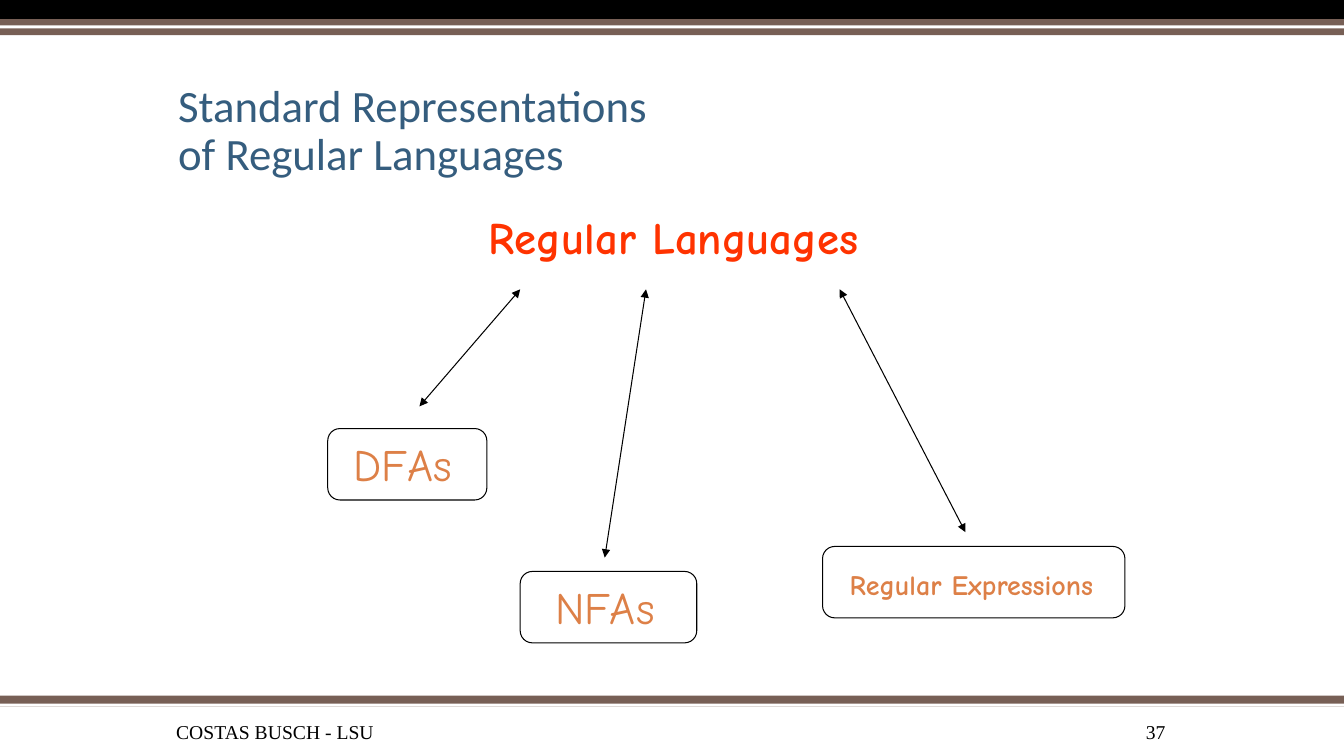
"""Builds the slide on standard representations of regular languages."""
from lxml import etree
from pptx import Presentation
from pptx import util as u
from pptx.dml.color import RGBColor
from pptx.enum import shapes, text
from pptx.oxml.ns import qn

THEME = {
    "brown": "775F55", "white": "FFFFFF", "black": "000000",
    "blue": "355D7E", "red": "FF3300", "orange": "DD8047",
    "heading": "Calibri", "hand": "Comic Neue", "serif": "Times New Roman",
    "large": 32, "medium": 20, "small": 14, "line": 0.75,
}
SLIDE_WIDTH, SLIDE_HEIGHT = 33.87, 19.05
BOX_HEIGHT, ARROW_TOP = 1.8, 7.29

BANDS = [
    (17.53, 0.28, "brown"), (17.73, 0.08, "white"),
    (0, 0.48, "black"), (0.48, 0.41, "brown"), (0.64, 0.08, "white"),
]
FOOTER = {"font": "serif", "size": "small", "color": "black", "anchor": text.MSO_ANCHOR.MIDDLE}
LABEL = {"font": "hand", "size": "large", "color": "orange"}
TEXTS = [
    ("COSTAS BUSCH - LSU", (4.19, 18.11, 16.84, 0.64), FOOTER),
    ("37", (27.03, 18.11, 2.59, 0.64), {**FOOTER, "align": text.PP_ALIGN.RIGHT}),
    ("Standard Representations\vof Regular Languages", (4.24, 1.7, 25.4, 2.97),
     {"font": "heading", "size": "large", "color": "blue",
      "anchor": text.MSO_ANCHOR.BOTTOM, "spacing": 0.9}),
    ("Regular Languages", (12.07, 5.16, 10.44, 1.6),
     {**LABEL, "color": "red", "bold": True, "wrap": False}),
    ("DFAs", (8.66, 10.87, 3.38, 1.6), {**LABEL, "wrap": False}),
    ("NFAs", (13.74, 14.48, 3.48, 1.6), {**LABEL, "wrap": False}),
    ("Regular Expressions", (21.16, 14.17, 8.26, 1.12),
     {**LABEL, "size": "medium", "bold": True}),
]
BOXES = [(8.26, 10.8, 4.01), (13.11, 14.4, 4.45), (20.73, 13.77, 7.62)]
ARROWS = [(13.11, 10.57, 10.24), (16.28, 15.24, 14.05), (21.16, 24.33, 13.41)]


def color(name):
    return RGBColor.from_string(THEME[name])


def set_all(target, values):
    for name, value in values.items():
        setattr(target, name, value)


def draw_line(line):
    line.color.rgb = color("black")
    line.width = u.Pt(THEME["line"])


def add_band(slide, top, height, fill):
    band = slide.shapes.add_shape(
        shapes.MSO_SHAPE.RECTANGLE, *map(u.Cm, (0, top, SLIDE_WIDTH, height)))
    band.shadow.inherit = False
    band.fill.solid()
    band.fill.fore_color.rgb = color(fill)
    band.line.fill.background()


def add_text(slide, words, place, style):
    frame = slide.shapes.add_textbox(*map(u.Cm, place)).text_frame
    set_all(frame, {
        "word_wrap": style.get("wrap", True),
        "vertical_anchor": style.get("anchor", text.MSO_ANCHOR.TOP),
    })
    paragraph = frame.paragraphs[0]
    paragraph.text = words
    set_all(paragraph, {
        "alignment": style.get("align", text.PP_ALIGN.LEFT),
        "line_spacing": style.get("spacing", 1.0),
    })
    for run in paragraph.runs:
        set_all(run.font, {
            "name": THEME[style["font"]],
            "size": u.Pt(THEME[style["size"]]),
            "bold": style.get("bold", False),
        })
        run.font.color.rgb = color(style["color"])


def add_box(slide, left, top, width):
    box = slide.shapes.add_shape(
        shapes.MSO_SHAPE.ROUNDED_RECTANGLE, *map(u.Cm, (left, top, width, BOX_HEIGHT)))
    box.shadow.inherit = False
    box.adjustments[0] = 0.17
    box.fill.background()
    draw_line(box.line)


def add_arrow(slide, start, end, bottom):
    arrow = slide.shapes.add_connector(
        shapes.MSO_CONNECTOR.STRAIGHT, *map(u.Cm, (start, ARROW_TOP, end, bottom)))
    draw_line(arrow.line)
    properties = arrow.line._get_or_add_ln()
    for tag in ("a:headEnd", "a:tailEnd"):
        etree.SubElement(properties, qn(tag), type="triangle")
    etree.SubElement(arrow._element.spPr, qn("a:effectLst"))


def main():
    presentation = Presentation()
    set_all(presentation, {
        "slide_width": u.Cm(SLIDE_WIDTH), "slide_height": u.Cm(SLIDE_HEIGHT)})
    slide = presentation.slides.add_slide(presentation.slide_layouts[6])
    for add, items in ((add_band, BANDS), (add_text, TEXTS),
                       (add_box, BOXES), (add_arrow, ARROWS)):
        for item in items:
            add(slide, *item)
    presentation.save("out.pptx")


if __name__ == "__main__":
    main()
